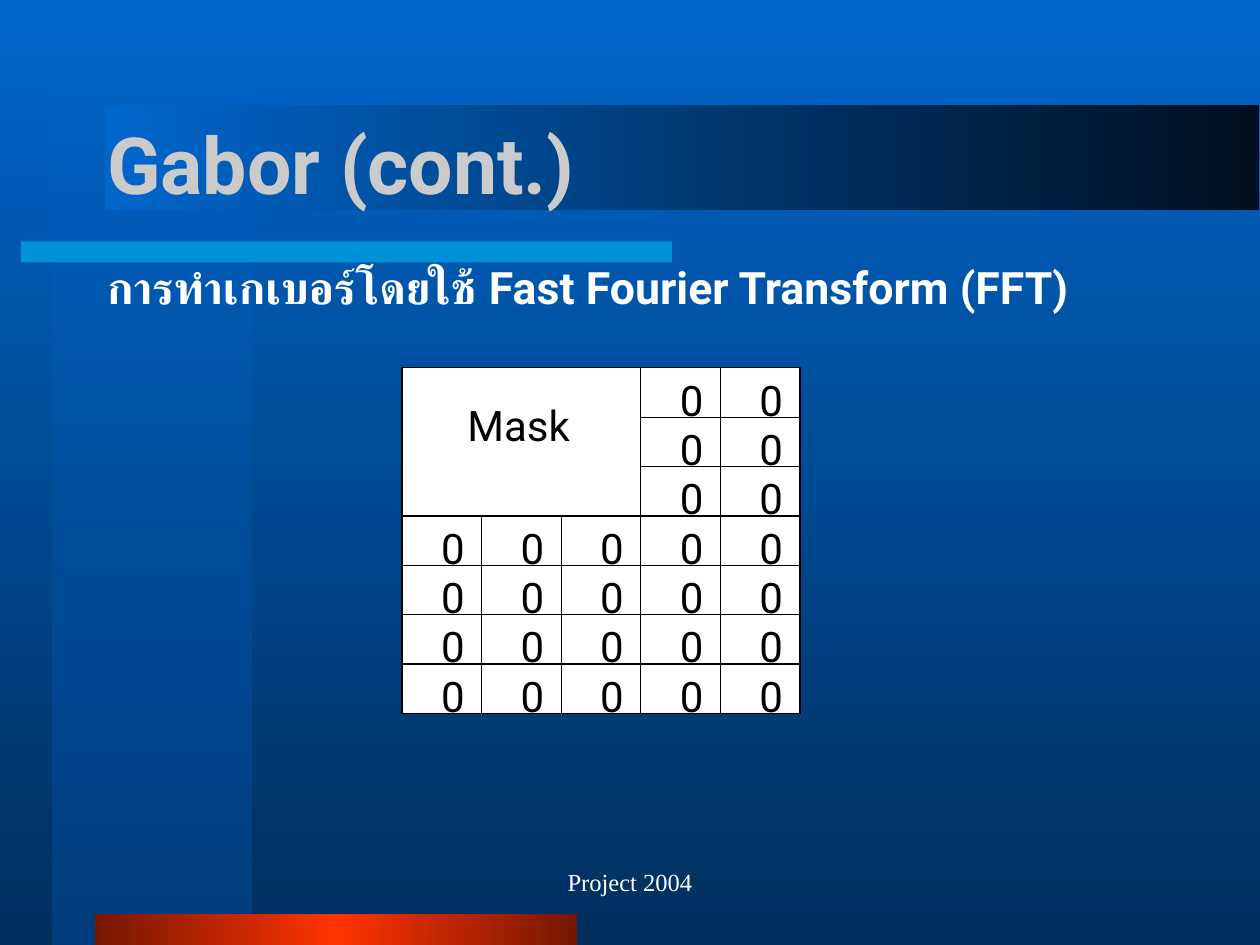
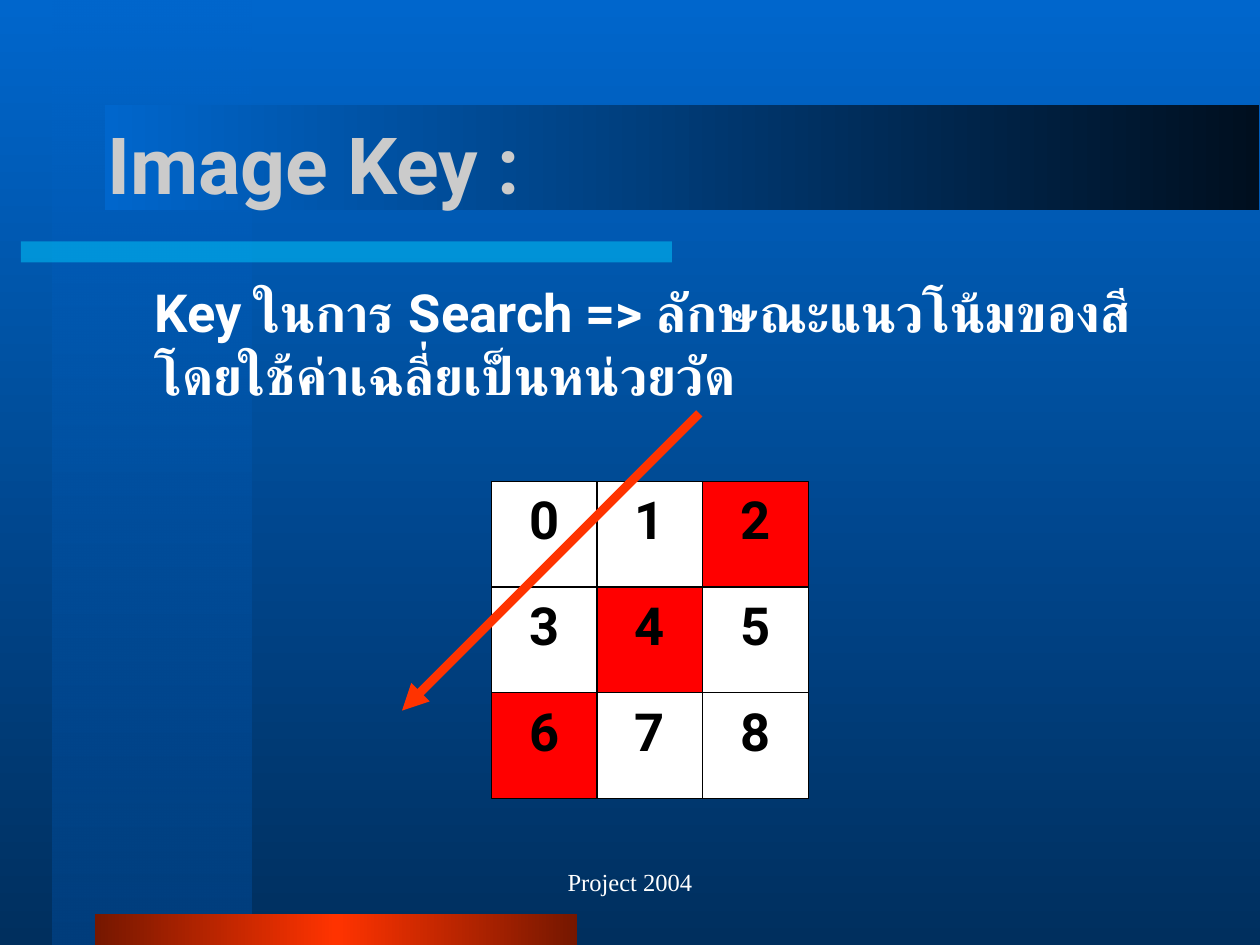
from dataclasses import dataclass

from lxml.etree import SubElement
from pptx import Presentation
from pptx.dml.color import RGBColor
from pptx.enum.shapes import MSO_CONNECTOR as Connector, MSO_SHAPE as Shape
from pptx.enum.text import MSO_ANCHOR as Anchor, MSO_AUTO_SIZE as AutoSize, PP_ALIGN as Align
from pptx.oxml.ns import qn
from pptx.util import Pt


@dataclass(frozen=True)
class Theme:
    font: str = "Roboto"
    footer_font: str = "Times New Roman"
    sky: str = "0066CC"
    navy: str = "002F5E"
    stripe_end: str = "003E7D"
    night: str = "000F1F"
    cyan: str = "00CCFF"
    rust: str = "751700"
    orange: str = "FF3300"
    silver: str = "CBCBCB"
    white: str = "FFFFFF"
    black: str = "000000"
    red: str = "FF0000"
    title_size: float = 45
    key_size: float = 30
    lead_size: float = 25.5
    mask_size: float = 24
    footer_size: float = 14
    rule: float = 0.75
    arrow: float = 5


THEME = Theme()


def rgb(colour):
    return RGBColor.from_string(colour)


def paint_gradient(fill, owner, stops, angle):
    fill.gradient()
    gradient = owner.find(".//" + qn("a:gradFill"))
    gradient.clear()
    stop_list = SubElement(gradient, qn("a:gsLst"))
    for position, colour, opacity in stops:
        stop = SubElement(stop_list, qn("a:gs"), pos=str(position * 1000))
        value = SubElement(stop, qn("a:srgbClr"), val=colour)
        if opacity < 100:
            SubElement(value, qn("a:alpha"), val=str(opacity * 1000))
    SubElement(gradient, qn("a:lin"), ang=str(angle * 60000), scaled="0")


def style_para(para, size, colour, bold=False, font=THEME.font, align=Align.LEFT):
    para.alignment = align
    para.space_before = Pt(0)
    para.font.size = Pt(size)
    para.font.bold = bold
    para.font.color.rgb = rgb(colour)
    para.font.name = font


def place(shape, left, top, width, height):
    shape.left, shape.top = Pt(left), Pt(top)
    shape.width, shape.height = Pt(width), Pt(height)


def add_rect(page, left, top, width, height, colour=None, outlined=False):
    rect = page.shapes.add_shape(Shape.RECTANGLE, Pt(left), Pt(top), Pt(width), Pt(height))
    rect.shadow.inherit = False
    if colour:
        rect.fill.solid()
        rect.fill.fore_color.rgb = rgb(colour)
    if outlined:
        rect.line.color.rgb = rgb(THEME.black)
        rect.line.width = Pt(THEME.rule)
    else:
        rect.line.fill.background()
    return rect


def add_line(page, start, end, colour=THEME.black, width=THEME.rule, arrow=False):
    line = page.shapes.add_connector(Connector.STRAIGHT, *map(Pt, start + end))
    line.line.color.rgb = rgb(colour)
    line.line.width = Pt(width)
    if arrow:
        SubElement(line.line._get_or_add_ln(), qn("a:tailEnd"), type="triangle")
    SubElement(line.element.spPr, qn("a:effectLst"))


def add_text(page, text, left, top, width, height, anchor=Anchor.TOP, **style):
    box = page.shapes.add_textbox(Pt(left), Pt(top), Pt(width), Pt(height))
    frame = box.text_frame
    frame.word_wrap = True
    frame.vertical_anchor = anchor
    frame.text = text
    style_para(frame.paragraphs[0], **style)


def set_title(page, text):
    title = page.shapes.title
    place(title, 54, 48, 612, 90)
    frame = title.text_frame
    frame.auto_size = AutoSize.NONE
    frame.vertical_anchor = Anchor.MIDDLE
    frame.text = text
    style_para(frame.paragraphs[0], THEME.title_size, THEME.silver, bold=True)


def set_body(page, text, top, height, size, indent, spacing=1.0):
    body = page.placeholders[1]
    place(body, 54, top, 612, height)
    frame = body.text_frame
    frame.auto_size = AutoSize.NONE
    frame.text = text
    para = frame.paragraphs[0]
    para.line_spacing = spacing
    properties = para._p.get_or_add_pPr()
    properties.set("marL", str(Pt(27)))
    properties.set("indent", str(Pt(indent)))
    SubElement(properties, qn("a:buNone"))
    style_para(para, size, THEME.white, bold=True)


def dress_layout(deck, layout, page):
    master = deck.slide_master
    paint_gradient(master.background.fill, master.element,
                   [(0, THEME.sky, 100), (100, THEME.navy, 100)], 90)
    bands = [
        ((30, 0, 114, 540), [(0, THEME.sky, 50), (100, THEME.stripe_end, 100)], 90),
        ((12, 138, 372, 12), [(0, THEME.cyan, 50), (100, THEME.cyan, 50)], 0),
        ((54, 522, 276, 18),
         [(0, THEME.rust, 100), (50, THEME.orange, 100), (100, THEME.rust, 100)], 180),
        ((60, 60, 659.5, 60), [(0, THEME.night, 100), (100, THEME.sky, 100)], 180),
    ]
    for index, (bounds, stops, angle) in enumerate(bands):
        band = add_rect(page, *bounds)
        paint_gradient(band.fill, band.element, stops, angle)
        band.element.nvSpPr.cNvPr.set("id", str(100 + index))
        layout.shapes.element.insert(2 + index, band.element)


def add_footer(page):
    add_text(page, "Project 2004", 246, 486, 228, 36, Anchor.MIDDLE,
             size=THEME.footer_size, colour=THEME.white,
             font=THEME.footer_font, align=Align.CENTER)


def add_mask_grid(page, left=229.7, top=210.2, cell_width=45.5, cell_height=28.2):
    columns, rows, mask_span = 5, 7, 3
    add_rect(page, left, top, columns * cell_width, rows * cell_height, THEME.white, True)

    def corner(column, row):
        return left + column * cell_width, top + row * cell_height

    for row in range(1, rows):
        first = mask_span if row < mask_span else 0
        add_line(page, corner(first, row), corner(columns, row))
    for column in range(1, columns):
        first = mask_span if column < mask_span else 0
        add_line(page, corner(column, first), corner(column, rows))

    style = dict(size=THEME.mask_size, colour=THEME.black)
    add_text(page, "Mask", 260, 224.6, 75.6, 42.5, **style)
    for row in range(rows):
        for column in range(columns):
            if row >= mask_span or column >= mask_span:
                x, y = corner(column, row)
                add_text(page, "0", x + 15.2, y, 30.3, cell_height, **style)


def add_key_grid(page, left=280.8, top=275, side=60.4):
    for number in range(9):
        row, column = divmod(number, 3)
        colour = THEME.red if row + column == 2 else THEME.white
        cell = add_rect(page, left + column * side, top + row * side, side, side, colour, True)
        cell.text_frame.vertical_anchor = Anchor.TOP
        cell.text_frame.text = str(number)
        style_para(cell.text_frame.paragraphs[0], THEME.key_size, THEME.black,
                   bold=True, align=Align.CENTER)


def main():
    deck = Presentation()
    deck.slide_width, deck.slide_height = Pt(720), Pt(540)
    layout = deck.slide_layouts[1]

    gabor = deck.slides.add_slide(layout)
    dress_layout(deck, layout, gabor)
    set_title(gabor, "Gabor (cont.)")
    set_body(gabor, "การทำเกเบอร์โดยใช้ Fast Fourier Transform (FFT)",
             148.3, 43.2, THEME.lead_size, indent=-27, spacing=0.9)
    add_mask_grid(gabor)
    add_footer(gabor)

    image_key = deck.slides.add_slide(layout)
    set_title(image_key, "Image Key :")
    set_body(image_key, "Key ในการ Search => ลักษณะแนวโน้มของสี โดยใช้ค่าเฉลี่ยเป็นหน่วยวัด",
             156.2, 88.6, THEME.key_size, indent=0)
    add_key_grid(image_key)
    add_line(image_key, (399.6, 236.2), (229.7, 406.1), THEME.orange, THEME.arrow, arrow=True)
    add_footer(image_key)

    deck.save("out.pptx")


if __name__ == "__main__":
    main()
